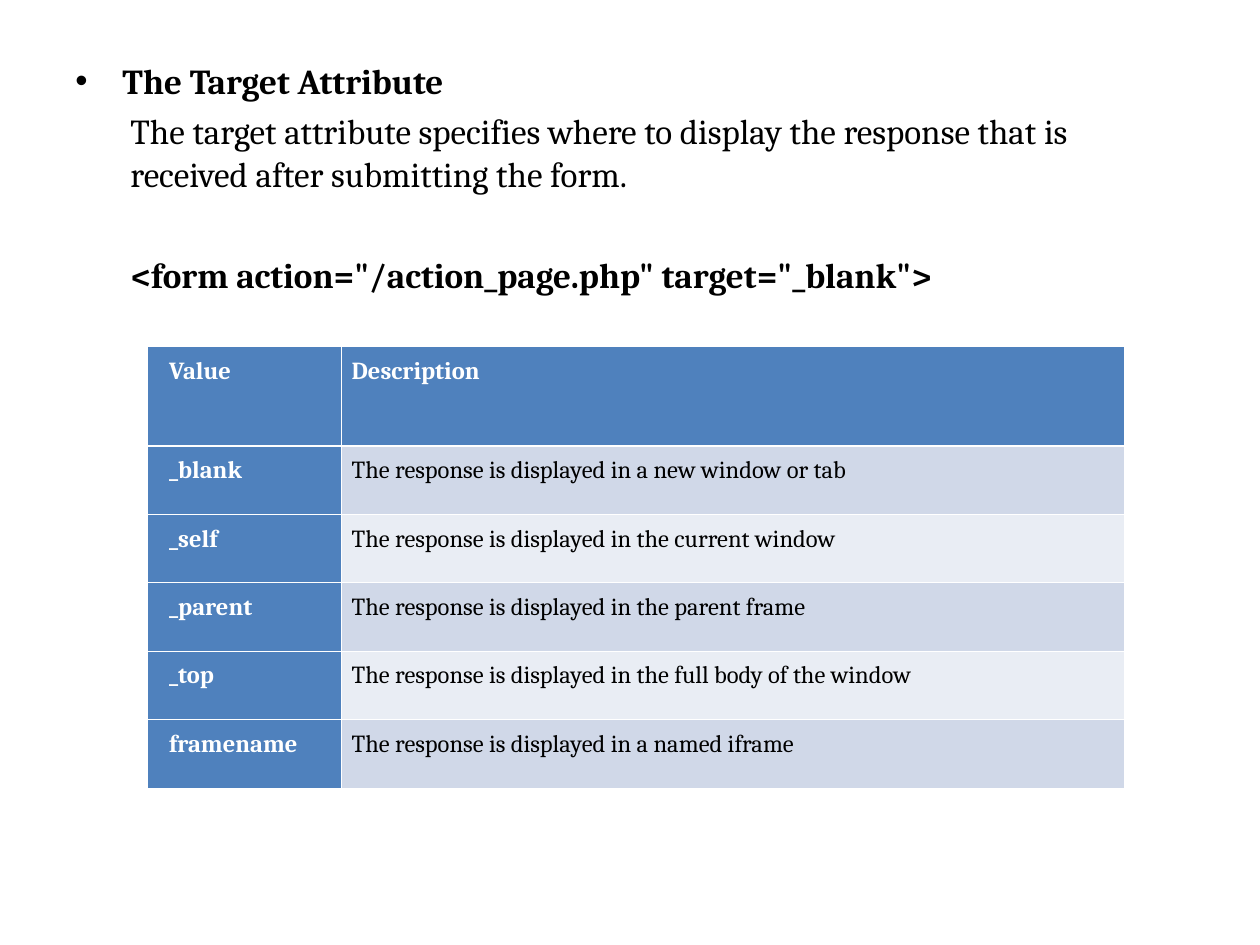
from dataclasses import dataclass

from lxml import etree
from pptx import Presentation
from pptx.dml.color import RGBColor
from pptx.oxml import ns
from pptx.util import Cm, Pt


@dataclass(frozen=True)
class Theme:
    font: str = "Cambria"
    body_size: float = 20
    table_size: float = 14
    ink: str = "000000"
    paper: str = "FFFFFF"
    accent: str = "4F81BD"
    bands: tuple = ("D0D8E8", "E9EDF4")
    thin: float = 0.45
    thick: float = 1.5


THEME = Theme()

# text, bold, bullet, left indent in cm, space before in points
BODY = [
    ("The Target Attribute", True, True, 0.95, 5),
    ("The target attribute specifies where to display the response "
     "that is received after submitting the form.", False, False, 1.11, 5),
    ('<form action="/action_page.php" target="_blank">', True, False, 1.11, 34),
]

TARGETS = [
    ("Value", "Description"),
    ("_blank", "The response is displayed in a new window or tab"),
    ("_self", "The response is displayed in the current window"),
    ("_parent", "The response is displayed in the parent frame"),
    ("_top", "The response is displayed in the full body of the window"),
    ("framename", "The response is displayed in a named iframe"),
]

COLUMN_WIDTHS = (3.91, 15.77)
LEFT_MARGINS = (0.43, 0.2)
HEADER_HEIGHT, ROW_HEIGHT = 2.0, 1.38


def write(para, content, *, size, color=THEME.ink, bold=False):
    span = para.add_run()
    span.text = content
    span.font.name = THEME.font
    span.font.size = Pt(size)
    span.font.bold = bold
    span.font.color.rgb = RGBColor.from_string(color)


def indent(para, left, bullet):
    properties = para._p.get_or_add_pPr()
    properties.set("marL", str(Cm(left)))
    properties.set("indent", str(-Cm(left) if bullet else 0))
    if bullet:
        font = etree.SubElement(properties, ns.qn("a:buFont"))
        font.set("typeface", "Arial")
        mark = etree.SubElement(properties, ns.qn("a:buChar"))
        mark.set("char", "•")


def set_borders(cell, **widths):
    properties = cell._tc.get_or_add_tcPr()
    for side, width in widths.items():
        line = etree.SubElement(properties, ns.qn(f"a:ln{side}"), w=str(Pt(width)))
        fill = etree.SubElement(line, ns.qn("a:solidFill"))
        etree.SubElement(fill, ns.qn("a:srgbClr"), val=THEME.paper)


def add_body(page):
    box = page.shapes.add_textbox(Cm(1.27), Cm(1.07), Cm(22.86), Cm(15.95))
    frame = box.text_frame
    frame.word_wrap = True
    for number, (content, bold, bullet, left, before) in enumerate(BODY):
        para = frame.add_paragraph() if number else frame.paragraphs[0]
        para.space_before = Pt(before)
        indent(para, left, bullet)
        write(para, content, size=THEME.body_size, bold=bold)


def format_cell(cell, content, row, column):
    heading = row == 0 or column == 0
    set_borders(cell, L=THEME.thin, R=THEME.thin,
                T=THEME.thick if row == 1 else THEME.thin,
                B=THEME.thick if row == 0 else THEME.thin)
    cell.fill.solid()
    color = THEME.accent if heading else THEME.bands[(row - 1) % 2]
    cell.fill.fore_color.rgb = RGBColor.from_string(color)
    cell.margin_left, cell.margin_right = Cm(LEFT_MARGINS[column]), Cm(0.2)
    cell.margin_top = cell.margin_bottom = Cm(0.13)
    para = cell.text_frame.paragraphs[0]
    para.line_spacing = 1.15
    write(para, content, size=THEME.table_size, bold=heading,
          color=THEME.paper if heading else THEME.ink)


def add_targets(page):
    heights = [HEADER_HEIGHT] + [ROW_HEIGHT] * (len(TARGETS) - 1)
    table = page.shapes.add_table(
        len(TARGETS), len(COLUMN_WIDTHS), Cm(2.98), Cm(6.99),
        Cm(sum(COLUMN_WIDTHS)), Cm(sum(heights))).table
    table.first_col = True
    for column, width in zip(table.columns, COLUMN_WIDTHS):
        column.width = Cm(width)
    for row, (height, contents) in enumerate(zip(heights, TARGETS)):
        table.rows[row].height = Cm(height)
        for column, content in enumerate(contents):
            format_cell(table.cell(row, column), content, row, column)


def main():
    deck = Presentation()
    deck.slide_width, deck.slide_height = Cm(25.4), Cm(19.05)
    page = deck.slides.add_slide(deck.slide_layouts[6])
    add_body(page)
    add_targets(page)
    deck.save("out.pptx")


if __name__ == "__main__":
    main()
